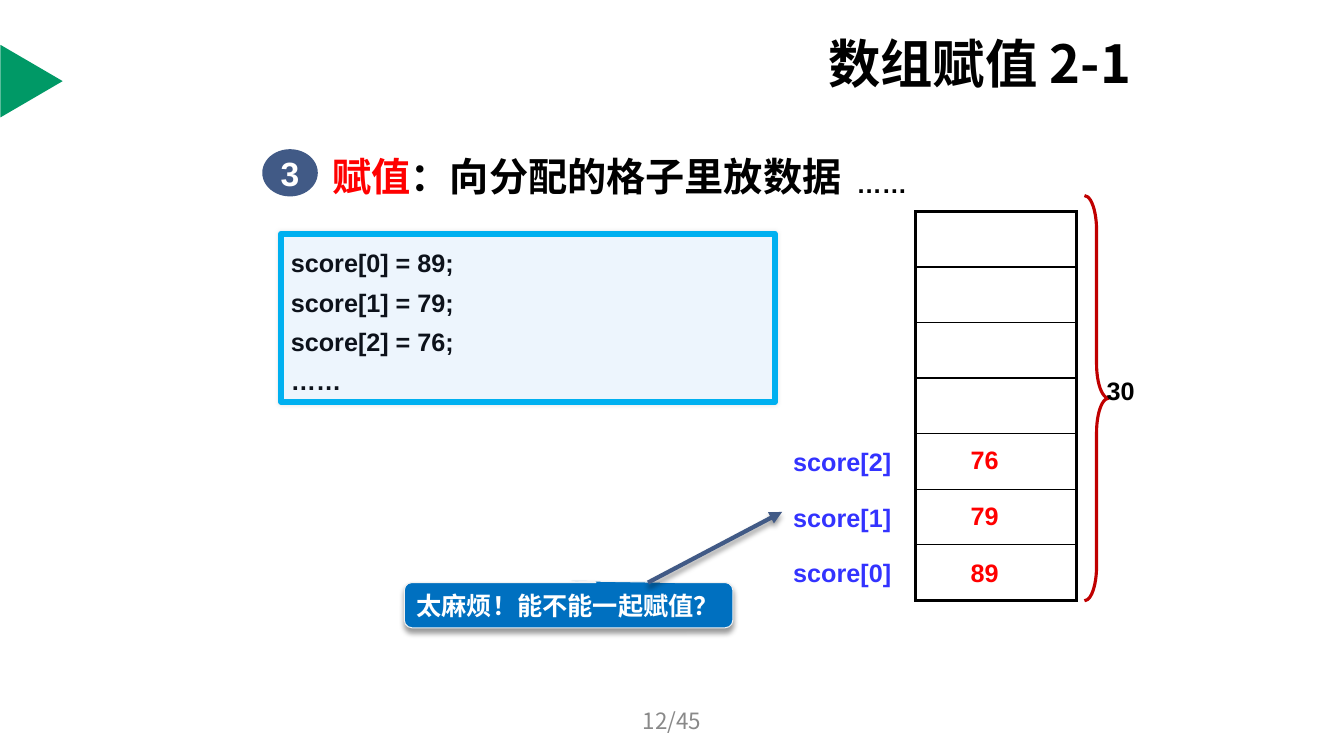
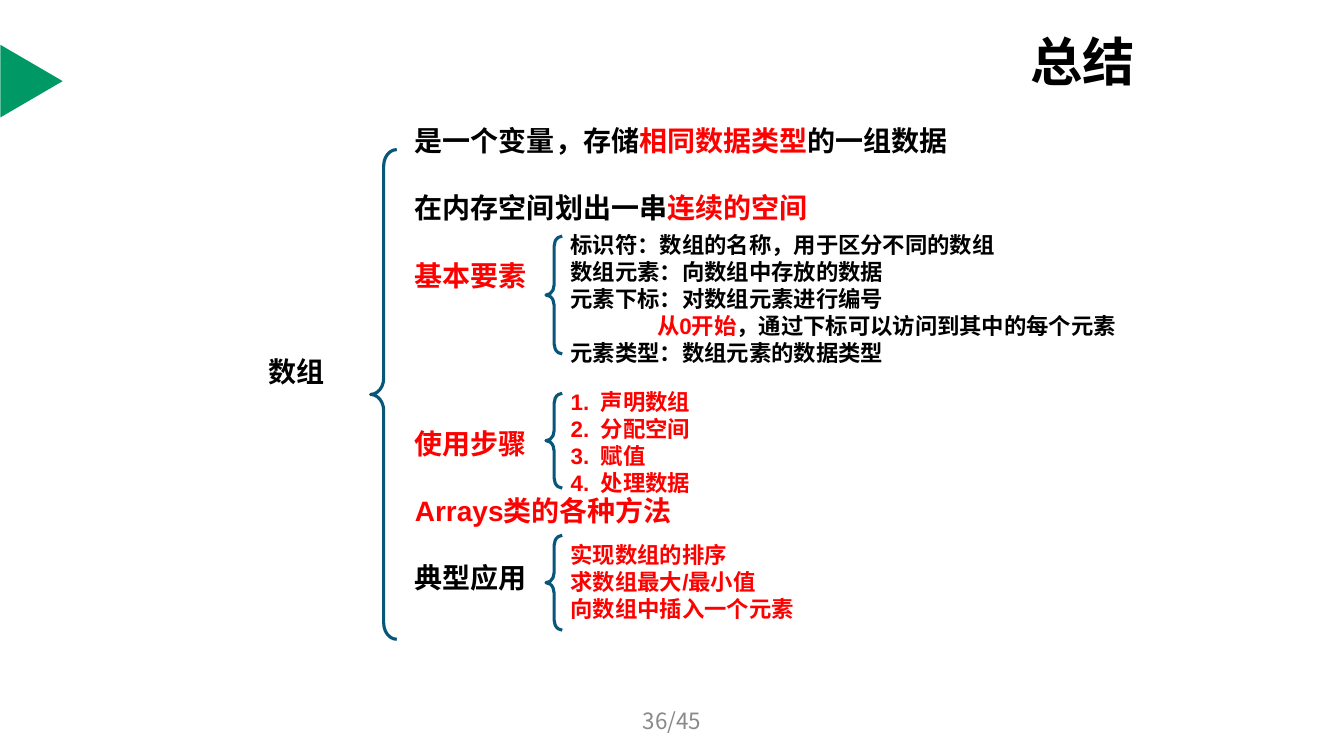
from lxml import etree
from pptx import Presentation
from pptx.dml.color import RGBColor
from pptx.enum.shapes import MSO_CONNECTOR, MSO_SHAPE
from pptx.enum.text import MSO_ANCHOR, MSO_AUTO_SIZE, PP_ALIGN
from pptx.oxml.ns import qn
from pptx.util import Cm, Pt

LEFT, CENTER = PP_ALIGN.LEFT, PP_ALIGN.CENTER
TOP, MIDDLE = MSO_ANCHOR.TOP, MSO_ANCHOR.MIDDLE
NO_AUTOFIT = MSO_AUTO_SIZE.NONE
STRAIGHT = MSO_CONNECTOR.STRAIGHT
TRIANGLE, RECTANGLE, OVAL = MSO_SHAPE.ISOSCELES_TRIANGLE, MSO_SHAPE.RECTANGLE, MSO_SHAPE.OVAL
LEFT_BRACE, RIGHT_BRACE = MSO_SHAPE.LEFT_BRACE, MSO_SHAPE.RIGHT_BRACE
CALLOUT = MSO_SHAPE.ROUNDED_RECTANGULAR_CALLOUT

TITLE_FONT = "Noto Sans CJK SC"
HEADING_FONT = "Arial Narrow"
BODY_FONT = "Arial"
COLORS = {
    "black": "000000",
    "white": "FFFFFF",
    "red": "FF0000",
    "green": "009966",
    "gray": "898989",
    "code_text": "0D121B",
    "code_fill": "EDF5FD",
    "code_line": "00B0F0",
    "label": "3333FF",
    "callout": "0070C0",
    "callout_line": "F2F2F2",
    "slate": "415A86",
    "dark_red": "C00000",
    "brace": "08577A",
}
TITLE_RIGHT = 29.13
ROW_HEIGHT = 1.4
SOFT_SHADOW = (10, 3, 0, 0)
DROP_SHADOW = (40, 4, 3, 90)


def rgb(name):
    return RGBColor.from_string(COLORS[name])


def add_xml(parent, tag, **attributes):
    values = {key: str(value) for key, value in attributes.items()}
    return etree.SubElement(parent, qn(tag), values)


def write_text(shape, paragraphs, size=18, color="black", font=BODY_FONT, bold=True,
               alignment=LEFT, anchor=MIDDLE, wrap=True, line_points=None,
               spaces_before=None, indents=None, numbered=False):
    frame = shape.text_frame
    frame.word_wrap = wrap
    frame.auto_size = NO_AUTOFIT
    frame.vertical_anchor = anchor
    for index, content in enumerate(paragraphs):
        paragraph = frame.add_paragraph() if index else frame.paragraphs[0]
        paragraph.alignment = alignment
        paragraph.space_before = Pt(spaces_before[index] if spaces_before else 0)
        if line_points:
            paragraph.line_spacing = Pt(line_points)
        properties = paragraph._p.get_or_add_pPr()
        margin = Cm(0.76) if numbered else Cm(indents[index] if indents else 0)
        properties.set("marL", str(margin))
        properties.set("indent", str(-margin if numbered else 0))
        if numbered:
            add_xml(properties, "a:buAutoNum", type="arabicPeriod")
        else:
            add_xml(properties, "a:buNone")
        runs = [(content, color)] if isinstance(content, str) else content
        for text, run_color in runs:
            run = paragraph.add_run()
            run.text = text
            run.font.size = Pt(size)
            run.font.bold = bold
            run.font.color.rgb = rgb(run_color)
            run.font.name = font
            add_xml(run._r.get_or_add_rPr(), "a:ea", typeface=font)


def place(shape, left, top, width, height):
    shape.left, shape.top = Cm(left), Cm(top)
    shape.width, shape.height = Cm(width), Cm(height)


def add_text(slide, box, paragraphs, **text_format):
    text_box = slide.shapes.add_textbox(*map(Cm, box))
    write_text(text_box, paragraphs, **text_format)


def add_effects(shape, shadow=None):
    effects = add_xml(shape.element.spPr, "a:effectLst")
    if shadow:
        alpha, blur, distance, direction = shadow
        outer = add_xml(effects, "a:outerShdw", blurRad=Pt(blur), dist=Pt(distance),
                        dir=direction * 60000, algn="ctr", rotWithShape=0)
        color = add_xml(outer, "a:srgbClr", val=COLORS["black"])
        add_xml(color, "a:alpha", val=alpha * 1000)


def add_shape(slide, kind, box, fill=None, line=None, line_width=1, adjustments=(), shadow=None):
    shape = slide.shapes.add_shape(kind, *map(Cm, box))
    for index, value in enumerate(adjustments):
        shape.adjustments[index] = value
    if fill:
        shape.fill.solid()
        shape.fill.fore_color.rgb = rgb(fill)
    else:
        shape.fill.background()
    if line:
        shape.line.color.rgb = rgb(line)
        shape.line.width = Pt(line_width)
    else:
        shape.line.fill.background()
    add_effects(shape, shadow)
    return shape


def add_arrow(slide, start, end, color):
    arrow = slide.shapes.add_connector(STRAIGHT, *map(Cm, start + end))
    arrow.line.color.rgb = rgb(color)
    arrow.line.width = Pt(3)
    add_xml(arrow.element.spPr.find(qn("a:ln")), "a:tailEnd", type="triangle")
    add_effects(arrow, DROP_SHADOW)


def add_border(cell, side, width):
    line = add_xml(cell._tc.get_or_add_tcPr(), "a:ln" + side, w=Pt(width))
    add_xml(add_xml(line, "a:solidFill"), "a:srgbClr", val=COLORS["black"])


def add_memory_table(slide, left, top, width, count):
    frame = slide.shapes.add_table(count, 1, Cm(left), Cm(top), Cm(width), Cm(ROW_HEIGHT * count))
    table = frame.table
    table.first_row = table.horz_banding = False
    for index in range(count):
        table.rows[index].height = Cm(ROW_HEIGHT)
        cell = table.cell(index, 0)
        add_border(cell, "L", 2.25)
        add_border(cell, "R", 2.25)
        add_border(cell, "T", 1 if index else 2.25)
        add_border(cell, "B", 1 if index < count - 1 else 2.25)
        cell.fill.background()


def add_page(presentation, layout_index, title, title_left, title_top, page_number):
    slide = presentation.slides.add_slide(presentation.slide_layouts[layout_index])
    add_shape(slide, TRIANGLE, (-0.12, 1.26, 1.83, 1.57), fill="green").rotation = 90
    place(slide.shapes.title, title_left, title_top, TITLE_RIGHT - title_left, 2.16)
    write_text(slide.shapes.title, [title], size=37.4, font=TITLE_FONT, wrap=False)
    add_text(slide, (11.58, 17.65, 10.72, 1.02), [page_number], size=16, color="gray",
             font=TITLE_FONT, bold=False, alignment=CENTER)
    return slide


def build_assignment(presentation):
    slide = add_page(presentation, 5, "数组赋值 2-1", 20.62, 0.5, "12/45")
    badge = add_shape(slide, OVAL, (6.61, 3.76, 1.4, 1.19), fill="slate")
    write_text(badge, ["3"], size=24, color="white", alignment=CENTER, wrap=False)
    add_text(slide, (8.13, 3.5, 14, 1.88),
             [[("赋值", "red"), ("：向分配的格子里放数据", "black")]], size=28, font=HEADING_FONT)
    add_text(slide, (21.34, 4.11, 4.6, 1.02), ["……"])

    code = add_shape(slide, RECTANGLE, (7.08, 5.89, 12.45, 4.24), fill="code_fill",
                     line="code_line", line_width=4, shadow=SOFT_SHADOW)
    scores = ["89", "79", "76"]
    statements = [f"score[{index}] = {score};" for index, score in enumerate(scores)]
    write_text(code, statements + ["……"], color="code_text", anchor=TOP, line_points=28)

    add_memory_table(slide, 23.07, 5.33, 4.06, 7)
    for index, score in enumerate(scores):
        add_text(slide, (19.74, 13.92 - ROW_HEIGHT * index, 3, 1.02), [f"score[{index}]"],
                 color="label")
        add_text(slide, (24.21, 13.92 - 1.43 * index, 2.13, 1.02), [score], color="red")
    add_shape(slide, RIGHT_BRACE, (27.33, 4.93, 0.61, 10.21), line="dark_red",
              line_width=2.25, adjustments=(1.42, 0.5))
    add_text(slide, (27.64, 9.32, 2.11, 1.02), ["30"])

    question = add_shape(slide, CALLOUT, (10.19, 14.68, 8.28, 1.14), fill="callout",
                         line="callout_line", line_width=0.75,
                         adjustments=(0.01, -0.54, 0.17), shadow=DROP_SHADOW)
    write_text(question, ["太麻烦！能不能一起赋值？"], color="white", wrap=False)
    add_arrow(slide, (16.33, 14.68), (19.71, 12.9), "slate")


def build_summary(presentation):
    slide = add_page(presentation, 1, "总结", 25.71, 0.44, "36/45")
    outline = slide.placeholders[1]
    place(outline, 10.2, 2.99, 16.84, 14.78)
    write_text(outline, [
        [("是一个变量，存储", "black"), ("相同数据类型", "red"), ("的一组数据", "black")],
        [("在内存空间划出一串", "black"), ("连续的空间", "red")],
        [("基本要素", "red")],
        [("使用步骤", "red")],
        [("Arrays类的各种方法", "red")],
        "典型应用",
    ], size=20, anchor=TOP, line_points=24, spaces_before=[0, 24, 24, 96, 24, 24])
    add_text(slide, (4.94, 8.79, 5.05, 1.12), ["数组"], size=20, alignment=CENTER)

    braces = [(9.34, 3.77, 0.66, 12.34)]
    braces += [(13.76, top, 0.41, height)
               for top, height in ((5.95, 2.97), (9.91, 2.39), (13.49, 2.39))]
    for box in braces:
        add_shape(slide, LEFT_BRACE, box, line="brace", line_width=2.25, adjustments=(0.62, 0.5))

    detail = {"size": 16, "anchor": TOP, "line_points": 19.4}
    add_text(slide, (14.13, 5.69, 15.5, 3.68), [
        "标识符：数组的名称，用于区分不同的数组",
        "数组元素：向数组中存放的数据",
        "元素下标：对数组元素进行编号",
        [("从0开始", "red"), ("，通过下标可以访问到其中的每个元素", "black")],
        "元素类型：数组元素的数据类型",
    ], indents=[0, 0, 0, 2.18, 0], **detail)
    add_text(slide, (14.13, 9.65, 5.4, 3), ["声明数组", "分配空间", "赋值", "处理数据"],
             color="red", numbered=True, **detail)
    add_text(slide, (14.13, 13.5, 7.1, 2.31),
             ["实现数组的排序", "求数组最大/最小值", "向数组中插入一个元素"],
             color="red", **detail)


def main():
    presentation = Presentation()
    presentation.slide_width, presentation.slide_height = Cm(33.87), Cm(19.05)
    build_assignment(presentation)
    build_summary(presentation)
    presentation.save("out.pptx")


if __name__ == "__main__":
    main()
